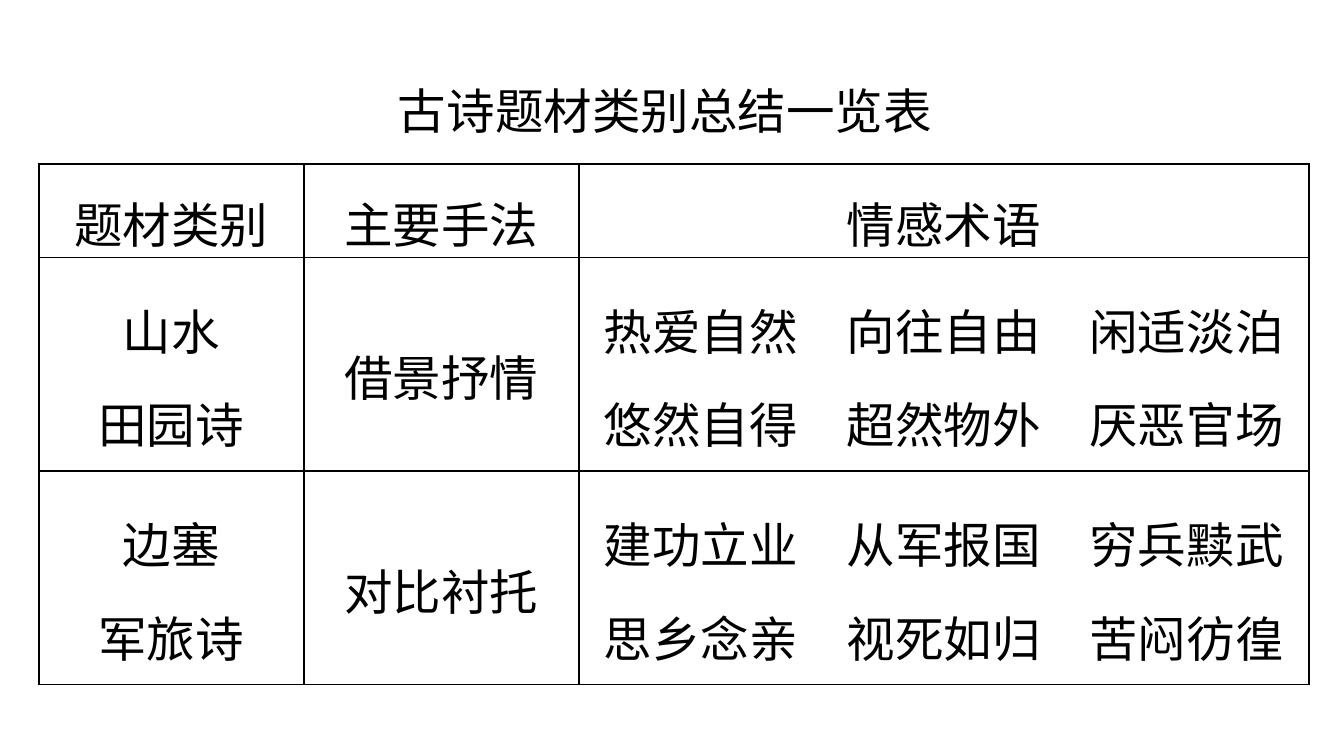
from lxml.etree import SubElement
from pptx import Presentation
from pptx.dml.color import RGBColor
from pptx.enum.text import MSO_ANCHOR, MSO_AUTO_SIZE, PP_ALIGN
from pptx.oxml.ns import qn
from pptx.util import Inches, Pt

THEME = {
    "font": "Times New Roman",
    "size": Pt(26),
    "leading": Pt(50),
    "ink": "000000",
    "paper": RGBColor(255, 255, 255),
    "border": Pt(1),
}
TITLE = "古诗题材类别总结一览表"
ROWS = [
    ["题材类别", "主要手法", "情感术语"],
    ["山水\n田园诗", "借景抒情",
     "热爱自然　向往自由　闲适淡泊\n悠然自得　超然物外　厌恶官场"],
    ["边塞\n军旅诗", "对比衬托",
     "建功立业　从军报国　穷兵黩武\n思乡念亲　视死如归　苦闷彷徨"],
]


def write(tf, text):
    tf.text = text
    tf.word_wrap = True
    for p in tf.paragraphs:
        p.alignment = PP_ALIGN.CENTER
        p.line_spacing = THEME["leading"]
        for r in p.runs:
            r.font.name = THEME["font"]
            r.font.size = THEME["size"]
            r.font.color.rgb = RGBColor.from_string(THEME["ink"])


def add_borders(cell):
    tc_pr = cell._tc.get_or_add_tcPr()
    for i, side in enumerate(("lnL", "lnR", "lnT", "lnB")):
        ln = tc_pr.makeelement(qn(f"a:{side}"), {"w": str(THEME["border"])})
        fill = SubElement(ln, qn("a:solidFill"))
        SubElement(fill, qn("a:srgbClr"), val=THEME["ink"])
        tc_pr.insert(i, ln)  # borders come before the cell fill


# Widescreen 16:9 slide
prs = Presentation()
W = Inches(10)
prs.slide_width, prs.slide_height = W, W * 9 // 16
s = prs.slides.add_slide(prs.slide_layouts[6])
s.background.fill.solid()
s.background.fill.fore_color.rgb = THEME["paper"]

# Title
sp = s.shapes.add_textbox(Inches(0.34), Inches(0.29), Inches(9.22), Inches(0.71))
write(sp.text_frame, TITLE)
sp.text_frame.auto_size = MSO_AUTO_SIZE.SHAPE_TO_FIT_TEXT

# Table grid: a header row and two equal body rows
col_widths = [Inches(w) for w in (1.97, 2.05, 5.43)]
row_heights = [Inches(0.53)] + [Inches(1.59)] * 2
table = s.shapes.add_table(len(ROWS), len(col_widths), Inches(0.29), Inches(1.22),
                           sum(col_widths), sum(row_heights)).table
table.first_row = table.horz_banding = False
for col, width in zip(table.columns, col_widths):
    col.width = width
for row, height in zip(table.rows, row_heights):
    row.height = height

# Cells
for row, texts in zip(table.rows, ROWS):
    for cell, text in zip(row.cells, texts):
        write(cell.text_frame, text)
        cell.vertical_anchor = MSO_ANCHOR.MIDDLE
        cell.margin_left = cell.margin_right = Inches(0.03)
        cell.margin_top = cell.margin_bottom = 0
        cell.fill.background()
        add_borders(cell)

prs.save("out.pptx")
